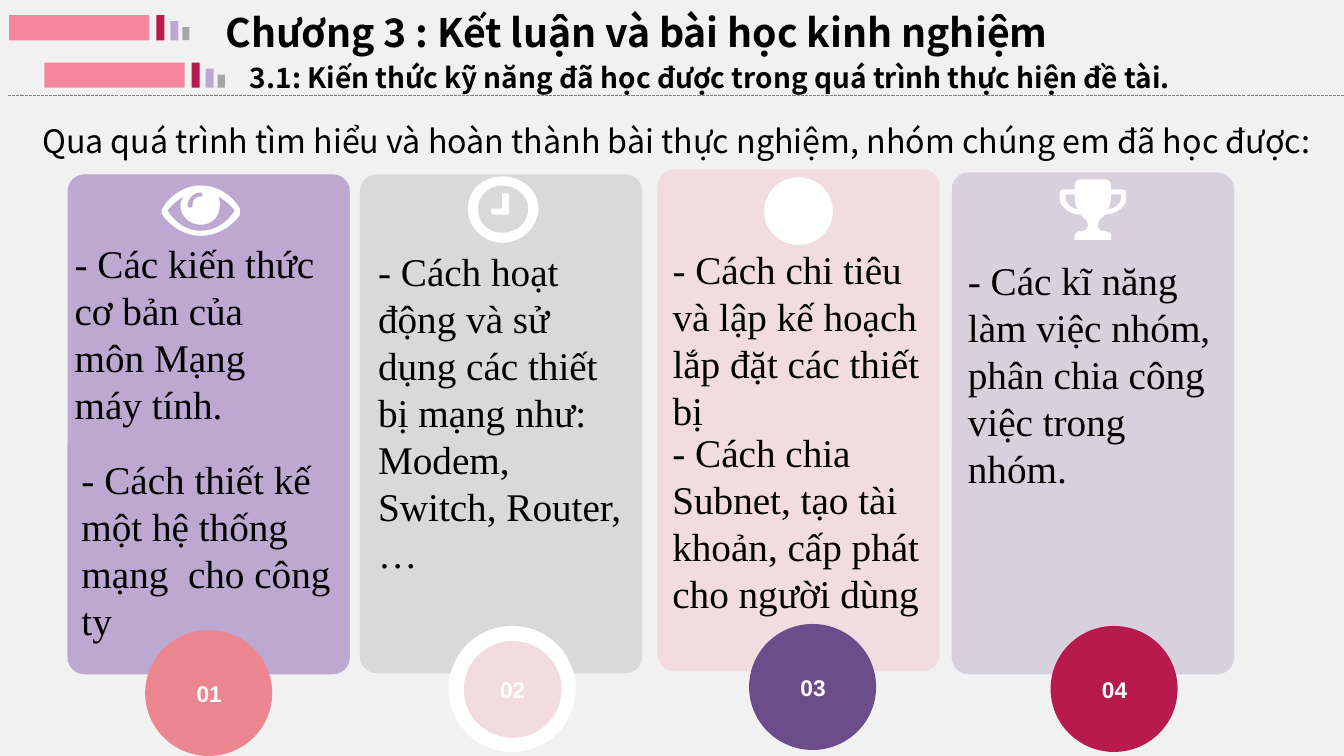
from lxml import etree
from pptx import Presentation
from pptx.dml.color import RGBColor
from pptx.enum.dml import MSO_LINE
from pptx.enum.shapes import MSO_CONNECTOR, MSO_SHAPE
from pptx.enum.text import MSO_ANCHOR, PP_ALIGN
from pptx.oxml.ns import qn
from pptx.util import Inches, Pt

HEAD_FONT = "Noto Sans CJK KR"
BODY_FONT = "Times New Roman"
WHITE = "FFFFFF"

# Icon outlines in inches from the icon's corner: 2 numbers are a point,
# 6 numbers are a Bézier curve (two controls and an end).
EYE = [
    [(.78, .29), (.7, .41, .55, .5, .39, .5), (.24, .5, .09, .41, .01, .29),
     (0, .27, 0, .24, .01, .23), (.09, .09, .24, 0, .39, 0),
     (.55, 0, .7, .09, .78, .23)],
    [(.56, .11), (.58, .13, .58, .16, .58, .2), (.58, .31, .5, .39, .39, .39),
     (.29, .39, .19, .31, .19, .2), (.19, .16, .21, .13, .23, .11),
     (.16, .14, .1, .2, .06, .25), (.14, .37, .25, .45, .39, .45),
     (.54, .45, .65, .37, .73, .25), (.69, .2, .63, .14, .56, .11)],
    [(.39, .07), (.32, .07, .26, .13, .26, .2), (.26, .21, .27, .22, .29, .22),
     (.3, .22, .31, .21, .31, .2), (.31, .15, .34, .11, .39, .11),
     (.4, .11, .41, .11, .41, .09), (.41, .08, .4, .07, .39, .07)],
]
CLOCK = [
    [(.34, .66), (.15, .66, 0, .5, 0, .32), (0, .14, .15, 0, .34, 0),
     (.54, 0, .7, .14, .7, .32), (.7, .5, .54, .66, .34, .66)],
    [(.34, .09), (.2, .09, .1, .2, .1, .32), (.1, .46, .2, .56, .34, .56),
     (.49, .56, .6, .46, .6, .32), (.6, .2, .49, .09, .34, .09)],
    [(.41, .38), (.24, .38), (.23, .34), (.24, .32), (.34, .32), (.34, .17),
     (.41, .17)],
]
CUP = [
    [(.66, .19), (.66, .26, .57, .35, .45, .35), (.41, .39),
     (.39, .41, .38, .43, .38, .46), (.38, .48, .39, .51, .43, .51),
     (.47, .51, .51, .53, .51, .56), (.51, .6), (.15, .6), (.15, .56),
     (.15, .53, .19, .51, .23, .51), (.26, .51, .28, .48, .28, .46),
     (.28, .43, .27, .41, .25, .39), (.21, .35),
     (.09, .35, 0, .26, 0, .19), (0, .14), (0, .11, .02, .1, .04, .1),
     (.15, .1), (.15, .06), (.15, .02, .18, 0, .21, 0), (.44, 0),
     (.48, 0, .51, .02, .51, .06), (.51, .1), (.62, .1),
     (.65, .1, .66, .11, .66, .14)],
    [(.15, .15), (.06, .15), (.06, .19), (.06, .23, .1, .28, .18, .3),
     (.16, .26, .15, .21, .15, .15)],
    [(.61, .15), (.51, .15), (.51, .21, .5, .26, .48, .3),
     (.56, .28, .61, .23, .61, .19)],
]

# Card box, card colour, icon (None for a plain disc) and its corner, badge
# corner, ring and disc colours, then texts with their boxes and insets
CARDS = [
    ((.67, 1.73, 2.8, 4.96), "BDA8D1", EYE, (1.6, 1.84),
     (1.44, 6.25), "EC8690", "EC8690",
     [("- Các kiến thức cơ bản của môn Mạng máy tính.",
       (.67, 2.33, 2.58, 1.96), (.07, .04)),
      ("- Cách thiết kế một hệ thống mạng  cho công ty",
       (.71, 4.47, 2.68, 1.99), (.1, .05))]),
    ((3.57, 1.73, 2.8, 4.95), "D9D9D9", CLOCK, (4.64, 1.75),
     (4.45, 6.21), WHITE, "F2DCE0",
     [("- Cách hoạt động và sử dụng các thiết bị mạng như: "
       "Modem, Switch, Router, …", (3.68, 2.41, 2.62, 3.37), (.07, .04))]),
    ((6.52, 1.68, 2.8, 4.98), "F2DCE0", None, (7.58, 1.76),
     (7.43, 6.19), "6C4C8B", "6C4C8B",
     [("- Cách chi tiêu và lập kế hoạch lắp đặt các thiết bị",
       (6.6, 2.39, 2.71, 1.96), (.07, .04)),
      ("- Cách chia Subnet, tạo tài khoản, cấp phát cho người dùng",
       (6.57, 4.2, 2.72, 2.46), (.1, .05))]),
    ((9.44, 1.71, 2.8, 4.98), "D7D0DD", CUP, (10.51, 1.78),
     (10.42, 6.21), "B81A4D", "B81A4D",
     [("- Các kĩ năng làm việc nhóm, phân chia công việc trong nhóm.",
       (9.53, 2.5, 2.7, 2.43), (.07, .04))]),
]


def rgb(color):
    return RGBColor.from_string(color)


def paint(sp, color):
    sp.shadow.inherit = False
    sp.fill.solid()
    sp.fill.fore_color.rgb = rgb(color)
    sp.line.fill.background()


def add_shape(slide, kind, box, color):
    sp = slide.shapes.add_shape(kind, *map(Inches, box))
    paint(sp, color)
    return sp


def write(sp, text, font, size, color="000000", bold=False,
          align=PP_ALIGN.LEFT, anchor=MSO_ANCHOR.TOP, inset=(.1, .05)):
    tf = sp.text_frame
    tf.text = text
    tf.word_wrap = True
    tf.vertical_anchor = anchor
    tf.margin_left = tf.margin_right = Inches(inset[0])
    tf.margin_top = tf.margin_bottom = Inches(inset[1])
    p = tf.paragraphs[0]
    p.alignment = align
    f = p.runs[0].font
    f.name, f.size, f.bold = font, Pt(size), bold
    f.color.rgb = rgb(color)


def add_text(slide, box, text, font, size, **style):
    write(slide.shapes.add_textbox(*map(Inches, box)), text, font, size, **style)


def flatten(outline, steps=8):
    """Turn points and Bézier curves into a list of points."""
    points = []
    for seg in outline:
        if len(seg) == 2:
            points.append(seg)
            continue
        ends = [points[-1], seg[:2], seg[2:4], seg[4:]]
        for i in range(1, steps + 1):
            t = i / steps
            weights = ((1 - t) ** 3, 3 * t * (1 - t) ** 2,
                       3 * t * t * (1 - t), t ** 3)
            points.append(tuple(sum(w * e[axis] for w, e in zip(weights, ends))
                                for axis in (0, 1)))
    return points


def add_icon(slide, left, top, outlines):
    if outlines is None:
        add_shape(slide, MSO_SHAPE.OVAL, (left, top, .68, .67), WHITE)
        return
    builder = None
    for outline in outlines:
        points = [(Inches(left + x), Inches(top + y)) for x, y in flatten(outline)]
        if builder is None:
            builder = slide.shapes.build_freeform(*points[0])
        else:
            builder.move_to(*points[0])
        builder.add_line_segments(points[1:], close=True)
    paint(builder.convert_to_shape(), WHITE)


def add_bars(slide, left, top):
    bars = [(0, 1.39, .25, "F4879C"), (1.46, .08, .25, "B81A4D"),
            (1.6, .08, .19, "BDA8D1"), (1.72, .07, .13, "A6A6A6")]
    for dx, width, height, color in bars:
        add_shape(slide, MSO_SHAPE.RECTANGLE,
                  (left + dx, top + .25 - height, width, height), color)


def add_badge(slide, left, top, number, ring, disc):
    add_shape(slide, MSO_SHAPE.OVAL, (left, top, 1.26, 1.25), ring)
    sp = add_shape(slide, MSO_SHAPE.OVAL, (left + .15, top + .15, .97, .96), disc)
    write(sp, f"{number:02}", "Arial", 16.2, WHITE, True,
          PP_ALIGN.CENTER, MSO_ANCHOR.MIDDLE)


def add_card(slide, number, box, color, icon, icon_at, badge_at, ring, disc, texts):
    card = add_shape(slide, MSO_SHAPE.ROUNDED_RECTANGLE, box, color)
    card.adjustments[0] = .06
    add_badge(slide, *badge_at, number, ring, disc)
    add_icon(slide, *icon_at, icon)
    for text, text_box, inset in texts:
        add_text(slide, text_box, text, BODY_FONT, 28, inset=inset)


def add_header(slide):
    title = slide.shapes.title
    title.left, title.top, title.width, title.height = map(
        Inches, (2.14, .03, 9.77, .57))
    write(title, "Chương 3 : Kết luận và bài học kinh nghiệm", HEAD_FONT, 28, bold=True)
    rule = slide.shapes.add_connector(
        MSO_CONNECTOR.STRAIGHT, *map(Inches, (.08, .95, 13.33, .95)))
    rule.line.color.rgb = rgb("808080")
    rule.line.width = Pt(.75)
    rule.line.dash_style = MSO_LINE.SQUARE_DOT
    etree.SubElement(rule._element.spPr, qn("a:effectLst"))
    add_bars(slide, .09, .15)
    add_bars(slide, .44, .62)
    add_text(slide, (2.38, .55, 9.86, .44),
             "3.1: Kiến thức kỹ năng đã học được trong quá trình thực hiện đề tài.",
             HEAD_FONT, 20, bold=True)
    add_text(slide, (.32, 1.15, 13.01, .49),
             "Qua quá trình tìm hiểu và hoàn thành bài thực nghiệm, "
             "nhóm chúng em đã học được:", HEAD_FONT, 23)


def main():
    prs = Presentation()
    prs.slide_width, prs.slide_height = Inches(13.33), Inches(7.5)
    slide = prs.slides.add_slide(prs.slide_layouts[5])
    slide.background.fill.solid()
    slide.background.fill.fore_color.rgb = rgb("F1F1F1")
    add_header(slide)
    for number, card in enumerate(CARDS, 1):
        add_card(slide, number, *card)
    prs.save("out.pptx")


if __name__ == "__main__":
    main()
